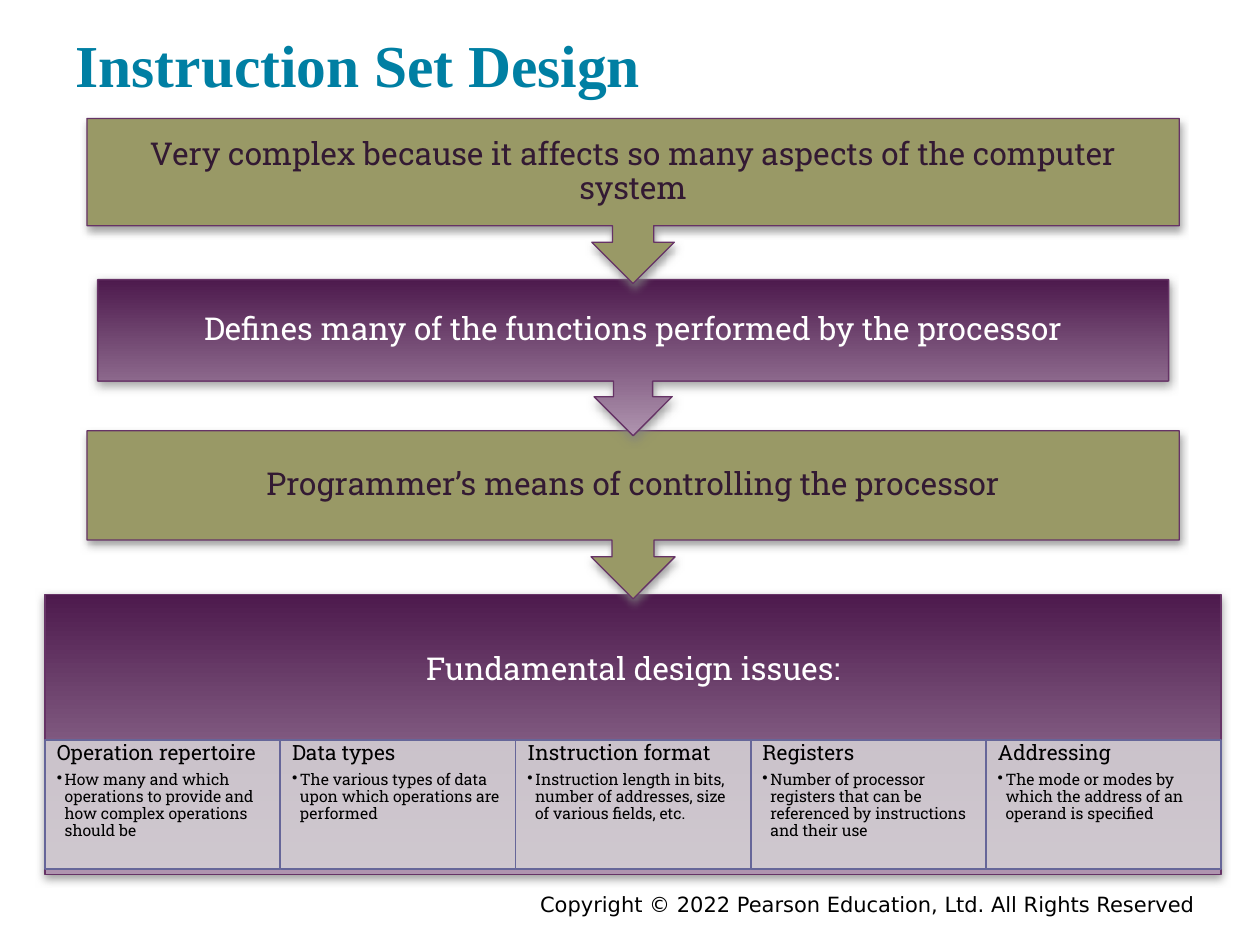
from lxml import etree
from pptx import Presentation
from pptx.dml.color import RGBColor
from pptx.enum.shapes import MSO_SHAPE
from pptx.enum.text import MSO_ANCHOR, PP_ALIGN
from pptx.oxml.ns import qn
from pptx.util import Pt

C = {"title": "007FA3", "olive": "999966", "ink": "331A33", "edge": "663366",
     "dark": "4D1A4D", "light": "AF94AF", "cell": "D3CED3", "grid": "666699",
     "white": "FFFFFF", "black": "000000", "shadow": "808080"}
SLAB = "Roboto Slab"


def write(p, text, size, color, font=SLAB, bold=False, **para):
    r = p.add_run()
    r.text = text
    for name, value in {"size": Pt(size), "name": font, "bold": bold}.items():
        setattr(r.font, name, value)
    r.font.color.rgb = RGBColor.from_string(C[color])
    for name, value in para.items():
        setattr(p, name, value)


def add_panel(kind, box, fill, text, color):
    sp = prs_shapes.add_shape(kind, *map(Pt, box))
    if fill == "gradient":
        sp.fill.gradient()
        sp.fill.gradient_angle = 270
        for stop, name in zip(sp.fill.gradient_stops, ("dark", "light")):
            stop.color.rgb = RGBColor.from_string(C[name])
            stop.position = 0 if name == "dark" else 1
    else:
        sp.fill.solid()
        sp.fill.fore_color.rgb = RGBColor.from_string(C[fill])
    sp.line.color.rgb = RGBColor.from_string(C["edge"])
    sp.line.width = Pt(0.75)

    # Soft shadow straight below
    sp.shadow.inherit = False
    effects = sp._element.spPr.find(qn("a:effectLst"))
    shadow = etree.SubElement(effects, qn("a:outerShdw"), blurRad=str(Pt(5)),
                              dist=str(Pt(2)), dir="5400000", rotWithShape="0")
    clr = etree.SubElement(shadow, qn("a:srgbClr"), val=C["shadow"])
    etree.SubElement(clr, qn("a:alpha"), val="75000")

    tf = sp.text_frame
    for name in ("margin_left", "margin_top", "margin_right", "margin_bottom"):
        setattr(tf, name, Pt(10))
    tf.word_wrap = True
    tf.vertical_anchor = MSO_ANCHOR.MIDDLE
    write(tf.paragraphs[0], text, 18, color, alignment=PP_ALIGN.CENTER, line_spacing=0.9)
    return sp


prs = Presentation()
prs.slide_width, prs.slide_height = Pt(720), Pt(540)
s = prs.slides.add_slide(prs.slide_layouts[5])
prs_shapes = s.shapes

# Title
title = s.shapes.title
for name, value in {"left": 36, "top": 15, "width": 648, "height": 49}.items():
    setattr(title, name, Pt(value))
tf = title.text_frame
for name in ("margin_left", "margin_top", "margin_right", "margin_bottom"):
    setattr(tf, name, Pt(7.2))
tf.vertical_anchor = MSO_ANCHOR.BOTTOM
write(tf.paragraphs[0], "Instruction Set Design", 34, "title", "Times New Roman", True,
      alignment=PP_ALIGN.LEFT)

# Design issues panel, with its heading above the cells
left, width = 25.8, 672
issues = add_panel(MSO_SHAPE.RECTANGLE, (left, 339.8, width, 160), "gradient",
                   "Fundamental design issues:", "white")
issues.text_frame.margin_bottom = Pt(83.5)

# One cell per issue
cells = [
    ("Operation repertoire",
     "How many and which operations to provide and how complex operations should be"),
    ("Data types", "The various types of data upon which operations are performed"),
    ("Instruction format",
     "Instruction length in bits, number of addresses, size of various fields, etc."),
    ("Registers",
     "Number of processor registers that can be referenced by instructions and their use"),
    ("Addressing", "The mode or modes by which the address of an operand is specified"),
]
cell_w = width / len(cells)
for i, (heading, detail) in enumerate(cells):
    sp = s.shapes.add_shape(MSO_SHAPE.RECTANGLE, Pt(left + i * cell_w), Pt(422.8),
                            Pt(cell_w), Pt(74))
    sp.shadow.inherit = False
    sp.fill.solid()
    sp.fill.fore_color.rgb = RGBColor.from_string(C["cell"])
    clr = sp._element.spPr.find(qn("a:solidFill"))[0]
    etree.SubElement(clr, qn("a:alpha"), val="90000")
    sp.line.color.rgb = RGBColor.from_string(C["grid"])
    sp.line.width = Pt(1)
    tf = sp.text_frame
    for name, value in {"margin_left": 6.7, "margin_right": 6.7,
                        "margin_top": 1.2, "margin_bottom": 1.2}.items():
        setattr(tf, name, Pt(value))
    tf.word_wrap = True
    tf.vertical_anchor = MSO_ANCHOR.TOP
    write(tf.paragraphs[0], heading, 12, "black", alignment=PP_ALIGN.LEFT,
          line_spacing=0.9, space_after=Pt(4.2))
    p = tf.add_paragraph()
    pPr = p._p.get_or_add_pPr()
    pPr.set("marL", str(Pt(4.5)))
    pPr.set("indent", str(-Pt(4.5)))
    etree.SubElement(pPr, qn("a:buChar"), char="•")
    write(p, detail, 9, "black", level=1, alignment=PP_ALIGN.LEFT, line_spacing=0.9)

# Arrow callouts, lowest first so that each arrow tip overlaps the next panel
callouts = [
    ((49.7, 246.2, 624.2, 96), "olive",
     "Programmer’s means of controlling the processor", "ink"),
    ((55.8, 159.8, 612, 89.2), "gradient",
     "Defines many of the functions performed by the processor", "white"),
    ((49.7, 67.7, 624.2, 94.3), "olive",
     "Very complex because it affects so many aspects of the computer system", "ink"),
]
for callout in callouts:
    add_panel(MSO_SHAPE.DOWN_ARROW_CALLOUT, *callout)

# Copyright line
tf = s.shapes.add_textbox(Pt(126), Pt(506), Pt(564), Pt(16)).text_frame
tf.word_wrap = True
write(tf.paragraphs[0], "Copyright © 2022 Pearson Education, Ltd. All Rights Reserved",
      12, "black", "DejaVu Sans", alignment=PP_ALIGN.RIGHT)

prs.save("out.pptx")
